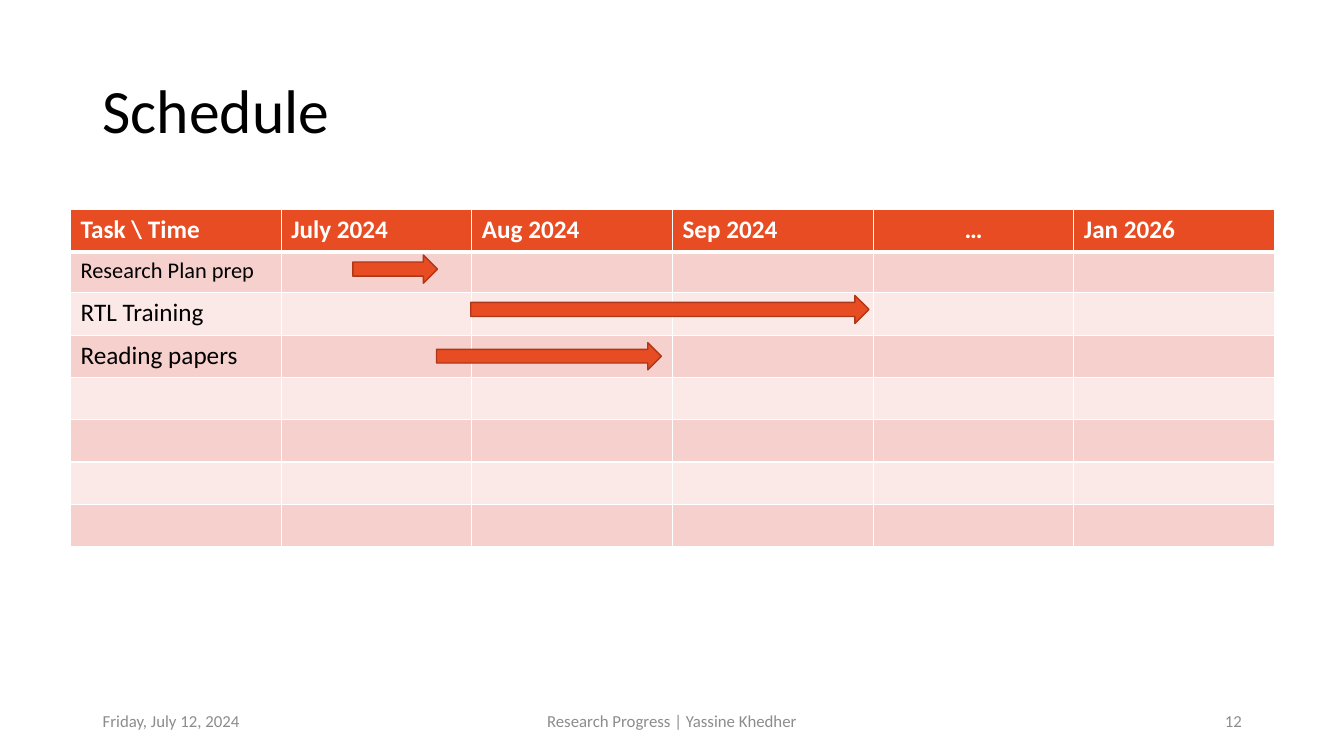
from dataclasses import dataclass
from typing import Any

from lxml.etree import SubElement as Sub
from pptx import Presentation as Deck
from pptx.dml.color import RGBColor as Rgb
from pptx.enum.shapes import MSO_SHAPE as Kind
from pptx.enum.text import MSO_ANCHOR as Anchor, PP_ALIGN as Align
from pptx.oxml.ns import qn
from pptx.util import Inches, Pt

WIDE, HIGH = Inches(13.33), Inches(7.5)
RED, EDGE, WHITE, BLACK, GREY = "E84C22", "AC3819", "FFFFFF", "000000", "8C8C8C"
BANDS = ("FBE9E8", "F6D0CD")
COLS = (15.68, 14.18) + (14.93,) * 4
ROWS = (5.6, 5.33) + (5.6,) * 6
HEADS = ("Task \\ Time", "July 2024", "Aug 2024", "Sep 2024", "…", "Jan 2026")
TASKS = {"Research Plan prep": 16, "RTL Training": 18, "Reading papers": 18}


@dataclass
class Box:
    """A frame in percent of the slide's width and height."""
    left: float
    top: float
    wide: float
    high: float

    def place(self) -> tuple[int, int, int, int]:
        """Return the frame in slide units."""
        return across(self.left), down(self.top), across(self.wide), down(self.high)


@dataclass
class Label:
    """A line of text and its frame."""
    text: str
    box: Box
    size: int = 12
    color: str = GREY
    align: Align = Align.LEFT
    space: float = 1.0


FOOT = {"top": 92.67, "high": 5.33}
LABELS = (
    Label("Schedule", Box(6.9, 5.33, 86.25, 19.33), 44, BLACK, space=0.9),
    Label("Friday, July 12, 2024", Box(left=6.9, wide=22.5, **FOOT)),
    Label("Research Progress | Yassine Khedher",
          Box(left=33.13, wide=33.75, **FOOT), align=Align.CENTER),
    Label("12", Box(left=70.65, wide=22.5, **FOOT), align=Align.RIGHT),
)
SPANS = (
    Box(26.25, 33.73, 6.3, 3.73),
    Box(35.03, 39.07, 29.63, 3.73),
    Box(32.48, 45.33, 16.73, 3.6),
)


def across(share: float) -> int:
    """Turn a percentage of the slide's width into a length."""
    return round(WIDE * share / 100)


def down(share: float) -> int:
    """Turn a percentage of the slide's height into a length."""
    return round(HIGH * share / 100)


def paint(item: Any, tone: str) -> None:
    """Give a fill a solid colour."""
    item.solid()
    item.fore_color.rgb = Rgb.from_string(tone)


def style(part: Any, form: dict[str, Any]) -> None:
    """Set each format value on an object."""
    for name, value in form.items():
        setattr(part, name, value)


def write(frame: Any, text: str, size: int, tone: str,
          align: Align = Align.LEFT, bold: bool = False, space: float = 1.0) -> None:
    """Write one formatted paragraph."""
    para = frame.paragraphs[0]
    style(para, {"alignment": align, "line_spacing": space})
    run = para.add_run()
    run.text = text
    style(run.font, {"name": "Calibri", "size": Pt(size), "bold": bold})
    paint(run.font.fill, tone)


def border(cell: Any, row: int) -> None:
    """Draw white cell borders, heavy under the header."""
    heavy = {(0, "B"), (1, "T")}
    props = cell._tc.get_or_add_tcPr()
    for side in "LRTB":
        width = Pt(3 if (row, side) in heavy else 1)
        line = Sub(props, qn(f"a:ln{side}"), w=str(width))
        Sub(Sub(line, qn("a:solidFill")), qn("a:srgbClr"), val=WHITE)


def add_label(slide: Any, label: Label) -> None:
    """Add a text box centred on its height."""
    frame = slide.shapes.add_textbox(*label.box.place()).text_frame
    style(frame, {"word_wrap": True, "vertical_anchor": Anchor.MIDDLE})
    write(frame, label.text, label.size, label.color, label.align, space=label.space)


def add_plan(slide: Any) -> None:
    """Add the schedule table."""
    box = Box(5.25, 27.73, sum(COLS), sum(ROWS))
    table = slide.shapes.add_table(len(ROWS), len(COLS), *box.place()).table
    for col, share in zip(table.columns, COLS):
        col.width = across(share)
    for num, (row, share) in enumerate(zip(table.rows, ROWS)):
        row.height = down(share)
        for cell in row.cells:
            border(cell, num)
            paint(cell.fill, BANDS[num % 2] if num else RED)
    for num, head in enumerate(HEADS):
        align = Align.CENTER if head == "…" else Align.LEFT
        write(table.cell(0, num).text_frame, head, 18, WHITE, align, bold=True)
    for num, (task, size) in enumerate(TASKS.items(), 1):
        write(table.cell(num, 0).text_frame, task, size, BLACK)


def add_span(slide: Any, box: Box) -> None:
    """Add an arrow over the time a task takes."""
    arrow = slide.shapes.add_shape(Kind.RIGHT_ARROW, *box.place())
    arrow.shadow.inherit = False
    paint(arrow.fill, RED)
    paint(arrow.line.fill, EDGE)
    arrow.line.width = Pt(1)


def main() -> None:
    """Build and save the slide."""
    deck = Deck()
    style(deck, {"slide_width": WIDE, "slide_height": HIGH})
    slide = deck.slides.add_slide(deck.slide_layouts[6])
    add_plan(slide)
    for label in LABELS:
        add_label(slide, label)
    for box in SPANS:
        add_span(slide, box)
    deck.save("out.pptx")


if __name__ == "__main__":
    main()
